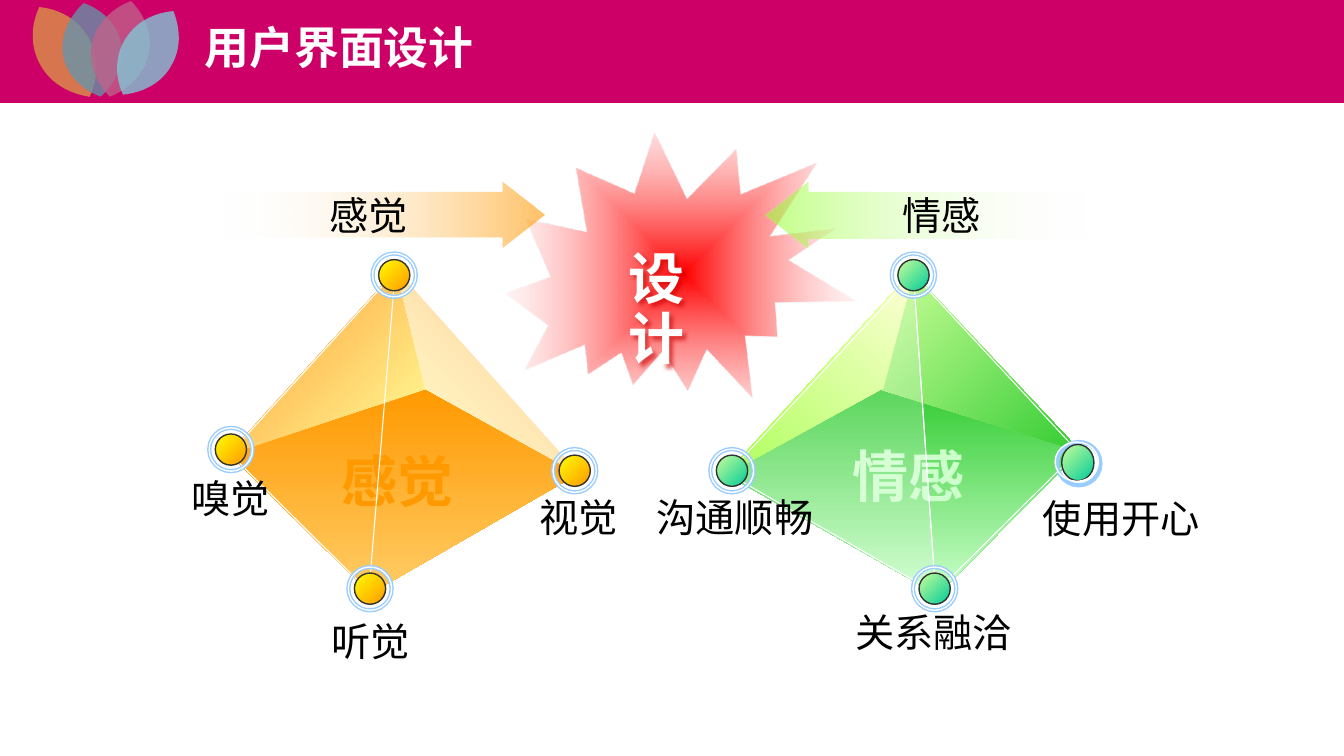
from lxml import etree
from pptx import Presentation
from pptx.dml.color import RGBColor
from pptx.enum.shapes import MSO_SHAPE
from pptx.enum.text import MSO_ANCHOR, MSO_AUTO_SIZE, PP_ALIGN
from pptx.oxml.ns import qn
from pptx.util import Inches, Pt

RECT, OVAL, SEAL = MSO_SHAPE.RECTANGLE, MSO_SHAPE.OVAL, MSO_SHAPE.EXPLOSION2
RIGHT, LEFT = MSO_SHAPE.RIGHT_ARROW, MSO_SHAPE.LEFT_ARROW
TOP, MIDDLE = MSO_ANCHOR.TOP, MSO_ANCHOR.MIDDLE
GROW, FIXED = MSO_AUTO_SIZE.SHAPE_TO_FIT_TEXT, MSO_AUTO_SIZE.NONE
ALIGN_LEFT, CENTER = PP_ALIGN.LEFT, PP_ALIGN.CENTER

# Grid: one cell is one inch, the page is 13.33 columns by 7.5 rows
CELL = Inches(1)
COLUMNS, ROWS = 13.33, 7.5


class Theme:
    band, white, ink = "CC0066", "FFFFFF", "000000"
    halo, rim, glow = "99CCFF", "333333", "CC0000"
    font, narrow = "Noto Sans CJK SC", "Arial Narrow"
    title, caption, label = 32, 40, 28
    petal_alpha, veil_alpha = 78, 20


# Content: gradients are (first colour, last colour, angle)
TITLE = ("用户界面设计", (1.93, 0.14, 7.1, 0.64))
CENTRE = ("设计", (5.88, 2.44, 1.27, 1.31))
SEAL_BOX = (5.16, 1.1, 3.23, 3.22)

# Each petal: colour, start point, then curves of two handles and an end
PETALS = [
    ("DB9649", [(.39, .07), (.3, .26), (.3, .48), (.41, .66), (.51, .83), (.69, .93), (.89, .96),
                (.98, .76), (.98, .54), (.87, .36), (.77, .19), (.59, .09), (.39, .07)]),
    ("6694AB", [(1, .96), (1.16, .81), (1.24, .62), (1.2, .42), (1.16, .24), (1.02, .1), (.83, .03),
                (.67, .18), (.59, .38), (.63, .57), (.67, .75), (.81, .89), (1, .96)]),
    ("BF638A", [(1.09, .96), (1.29, .88), (1.44, .72), (1.48, .52), (1.51, .34), (1.44, .15), (1.3, .01),
                (1.09, .09), (.95, .25), (.91, .44), (.88, .63), (.95, .82), (1.09, .96)]),
    ("80CAD7", [(1.22, .94), (1.42, .92), (1.61, .82), (1.7, .65), (1.8, .48), (1.79, .29), (1.72, .11),
                (1.51, .13), (1.33, .23), (1.23, .41), (1.14, .57), (1.14, .77), (1.22, .94)]),
]

PYRAMIDS = [
    {
        "faces": [
            (("FF9900", "FFCC66", 90), [(2.27, 4.5), (3.67, 5.89), (5.74, 4.7), (4.21, 3.85)]),
            (("FF9933", "FFFF99", 45), [(2.26, 4.51), (4.22, 3.86), (3.93, 2.68)]),
            (("FFFFCC", "FFCC99", 315), [(3.93, 2.68), (4.22, 3.86), (5.74, 4.7)]),
        ],
        "caption": ("感觉", (2.87, 4.38, 2.15, 0.49), ("FF9900", "FF9933", None)),
        "edge": [(3.92, 2.7), (2.28, 4.5), (3.66, 5.87)],
        "veil": None,
        "dot": ("FFFF00", "FF9900", 45),
        "nodes": [(3.91, 2.73), (5.7, 4.67), (2.29, 4.46), (3.67, 5.84)],
    },
    {
        "faces": [
            (("33CC33", "CCFFCC", 90), [(10.71, 4.48), (9.3, 5.9), (7.19, 4.7), (8.74, 3.85)]),
            (("CCFF99", "33CC33", 45), [(10.72, 4.48), (8.75, 3.87), (9.05, 2.7)]),
            (("99FF33", "FFFFCC", 315), [(9.07, 2.67), (8.76, 3.85), (7.18, 4.72)]),
        ],
        "caption": ("情感", (7.72, 4.33, 2.58, 0.56), ("CCFFCC", "CCFF33", 45)),
        "edge": [(9.06, 2.72), (10.69, 4.48), (9.28, 5.88)],
        "veil": [(9.06, 2.72), (7.22, 4.7), (9.28, 5.88)],
        "dot": ("CCFF99", "00CC99", 45),
        "nodes": [(7.26, 4.67), (10.7, 4.6), (9.27, 5.84), (9.06, 2.73)],
    },
]
RING, DOT = (0.43, 0.43), (0.31, 0.31)
# The right-hand node is set slightly askew: dot and inner ring sizes and shifts
ASKEW = {(10.7, 4.6): ((0.32, 0.36, -0.01, -0.01), (0.43, 0.39, -0.02, -0.02))}

ARROWS = [
    (RIGHT, "感觉", (2.2, 1.8, 3.2, 0.66), (0.68, 0.64), ("FFFFFF", "FF9900", 0), (0, 60)),
    (LEFT, "情感", (7.59, 1.8, 3.2, 0.67), (0.7, 0.64), ("99FF33", "FFFFFF", 0), (60, 0)),
]
LABELS = [
    ("听觉", (2.7, 6.12, 1.96)), ("视觉", (4.89, 4.89, 1.69)), ("关系融洽", (8.19, 6.03, 2.14)),
    ("沟通顺畅", (6.41, 4.89, 1.76)), ("嗅觉", (1.44, 4.7, 1.69)), ("使用开心", (10.05, 4.9, 2.14)),
]
LABEL_HEIGHT = 0.47


def cells(values):
    return [round(value * CELL) for value in values]


def apply(target, values):
    for name, value in values.items():
        setattr(target, name, value)


def set_alpha(colour, percent):
    etree.SubElement(colour, qn("a:alpha"), val=str(percent * 1000))


def paint_gradient(fill, holder, gradient, alphas=(100, 100), route="rect"):
    """Two-stop gradient; without an angle it spreads from the centre."""
    fill.gradient()
    grad = holder.find(qn("a:gradFill"))
    for child in list(grad):
        grad.remove(child)
    grad.set("rotWithShape", "1")
    stops = etree.SubElement(grad, qn("a:gsLst"))
    for place, colour, alpha in zip((0, 100000), gradient, alphas):
        stop = etree.SubElement(stops, qn("a:gs"), pos=str(place))
        set_alpha(etree.SubElement(stop, qn("a:srgbClr"), val=colour), alpha)
    angle = gradient[2]
    if angle is None:
        spread = etree.SubElement(grad, qn("a:path"), path=route)
        etree.SubElement(spread, qn("a:fillToRect"), l="50000", t="50000", r="50000", b="50000")
    else:
        etree.SubElement(grad, qn("a:lin"), ang=str(angle * 60000), scaled="1")


def finish(shape, fill=None, line=None, alphas=(100, 100), route="rect"):
    shape.shadow.inherit = False
    if fill is None:
        shape.fill.background()
    elif isinstance(fill, tuple):
        paint_gradient(shape.fill, shape._element.spPr, fill, alphas, route)
    else:
        shape.fill.solid()
        shape.fill.fore_color.rgb = RGBColor.from_string(fill)
        set_alpha(shape._element.spPr.find(qn("a:solidFill"))[0], alphas[0])
    if line is None:
        shape.line.fill.background()
    else:
        shape.line.color.rgb = RGBColor.from_string(line[0])
        shape.line.width = Pt(line[1])
    return shape


def outline(page, points, **look):
    corners = [cells(point) for point in points]
    builder = page.shapes.build_freeform(*corners[0], scale=1.0)
    builder.add_line_segments(corners[1:], close=True)
    return finish(builder.convert_to_shape(), **look)


def preset(page, kind, box, **look):
    return finish(page.shapes.add_shape(kind, *cells(box)), **look)


def curve_points(points, steps=12):
    result = [points[0]]
    for first in range(0, len(points) - 1, 3):
        a, b, c, d = points[first:first + 4]
        for step in range(1, steps + 1):
            t = step / steps
            s = 1 - t
            result.append(tuple(s**3 * p + 3 * s * s * t * q + 3 * s * t * t * u + t**3 * v
                                for p, q, u, v in zip(a, b, c, d)))
    return result[:-1]


def write(shape, text, size, colour, bold=False, align=CENTER, font=Theme.font, spacing=None, **frame):
    apply(shape.text_frame, {"word_wrap": True, "auto_size": FIXED, "vertical_anchor": TOP, **frame})
    para = shape.text_frame.paragraphs[0]
    apply(para, {"alignment": align, "line_spacing": spacing})
    span = para.add_run()
    span.text = text
    apply(span.font, {"size": Pt(size), "bold": bold, "name": font})
    properties = span._r.get_or_add_rPr()
    if isinstance(colour, tuple):
        paint_gradient(span.font.fill, properties, colour)
    else:
        span.font.color.rgb = RGBColor.from_string(colour)
    east = etree.Element(qn("a:ea"), typeface=Theme.font)
    properties.find(qn("a:latin")).addnext(east)


def text_box(page, text, box, *style, **frame):
    shape = page.shapes.add_textbox(*cells(box))
    write(shape, text, *style, **frame)
    return shape


def add_node(page, centre, gradient):
    dot, inner = ASKEW.get(centre, ((*DOT, 0, 0), (*RING, 0, 0)))
    for (width, height, right, down), look in (
        ((*RING, 0, 0), {"line": (Theme.halo, 3)}),
        (dot, {"fill": gradient, "line": (Theme.rim, 1)}),
        (inner, {"line": (Theme.white, 1)}),
    ):
        left, top = centre[0] + right - width / 2, centre[1] + down - height / 2
        preset(page, OVAL, (left, top, width, height), **look)


def add_pyramid(page, pyramid):
    for gradient, points in pyramid["faces"]:
        outline(page, points, fill=gradient)
    text, box, gradient = pyramid["caption"]
    text_box(page, text, box, Theme.caption, gradient, True, word_wrap=False)
    edge_line = (Theme.white, 0.75)
    outline(page, pyramid["edge"], line=edge_line)
    if pyramid["veil"]:
        outline(page, pyramid["veil"], fill=Theme.white, line=edge_line, alphas=(Theme.veil_alpha,))
    for centre in pyramid["nodes"]:
        add_node(page, centre, pyramid["dot"])


def main():
    deck = Presentation()
    deck.slide_width, deck.slide_height = cells((COLUMNS, ROWS))
    page = deck.slides.add_slide(deck.slide_layouts[5])

    # Header band, petals and title
    preset(page, RECT, (0, 0, COLUMNS, 1.02), fill=Theme.band)
    for colour, points in PETALS:
        outline(page, curve_points(points), fill=colour, alphas=(Theme.petal_alpha,))
    title = page.shapes.title
    apply(title, dict(zip(("left", "top", "width", "height"), cells(TITLE[1]))))
    write(title, TITLE[0], Theme.title, Theme.white, True, ALIGN_LEFT, vertical_anchor=MIDDLE)
    page.shapes._spTree.append(title._element)

    # Burst and the two pyramids
    burst = preset(page, SEAL, SEAL_BOX, fill=("FF0000", "FFFFFF", None), alphas=(100, 0), route="shape")
    burst.rotation = 30
    for pyramid in PYRAMIDS:
        add_pyramid(page, pyramid)

    # Centre word with a soft shadow
    word = text_box(page, *CENTRE, Theme.caption, Theme.white, True,
                    font=Theme.narrow, spacing=0.9, auto_size=GROW)
    effects = etree.SubElement(word._element.spPr, qn("a:effectLst"))
    shadow = etree.SubElement(effects, qn("a:outerShdw"), blurRad="38100", dist="38100", dir="2700000")
    set_alpha(etree.SubElement(shadow, qn("a:srgbClr"), val=Theme.glow), 60)

    # Arrows towards the burst
    for kind, text, box, adjustments, gradient, alphas in ARROWS:
        arrow = preset(page, kind, box, fill=gradient, alphas=alphas)
        for index, value in enumerate(adjustments):
            arrow.adjustments[index] = value
        write(arrow, text, Theme.label, Theme.ink, word_wrap=False, vertical_anchor=MIDDLE)

    # Node labels
    for text, place in LABELS:
        text_box(page, text, (*place, LABEL_HEIGHT), Theme.label, Theme.ink,
                 margin_top=0, margin_bottom=0, vertical_anchor=MIDDLE, auto_size=GROW)

    deck.save("out.pptx")


if __name__ == "__main__":
    main()
